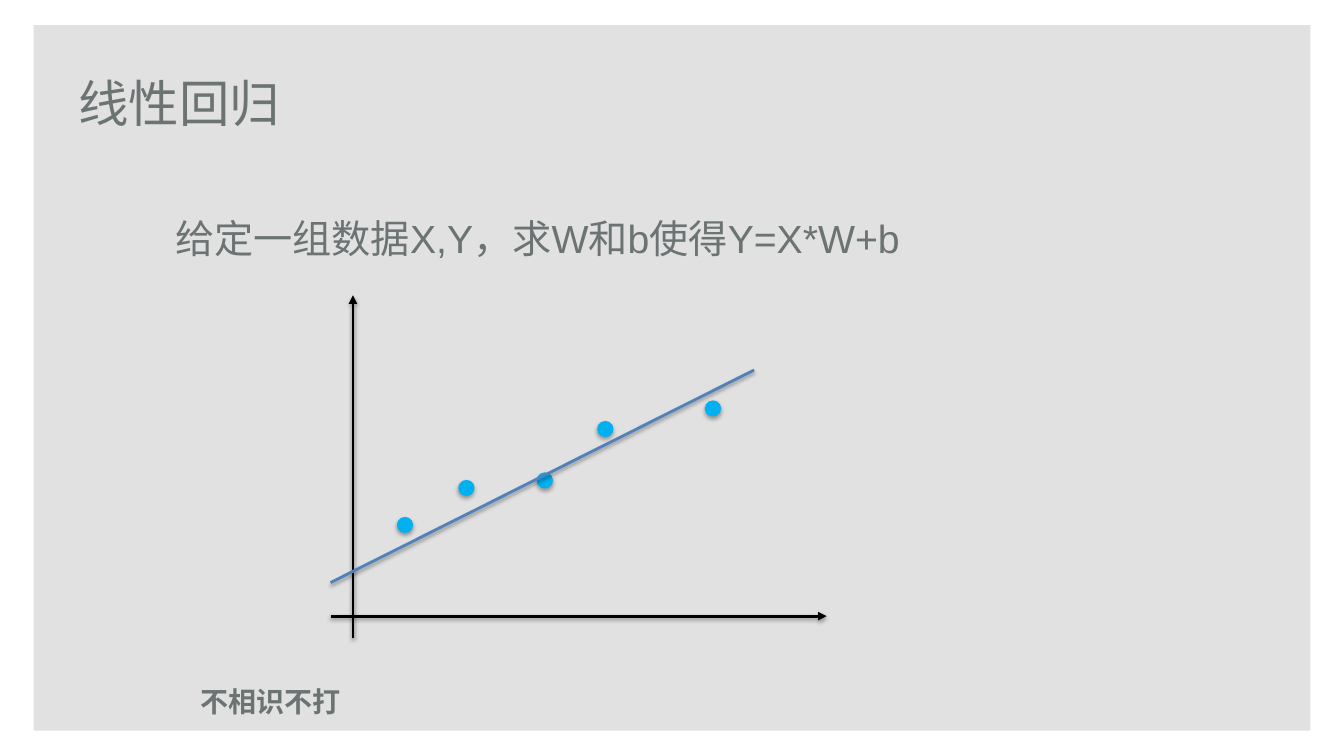
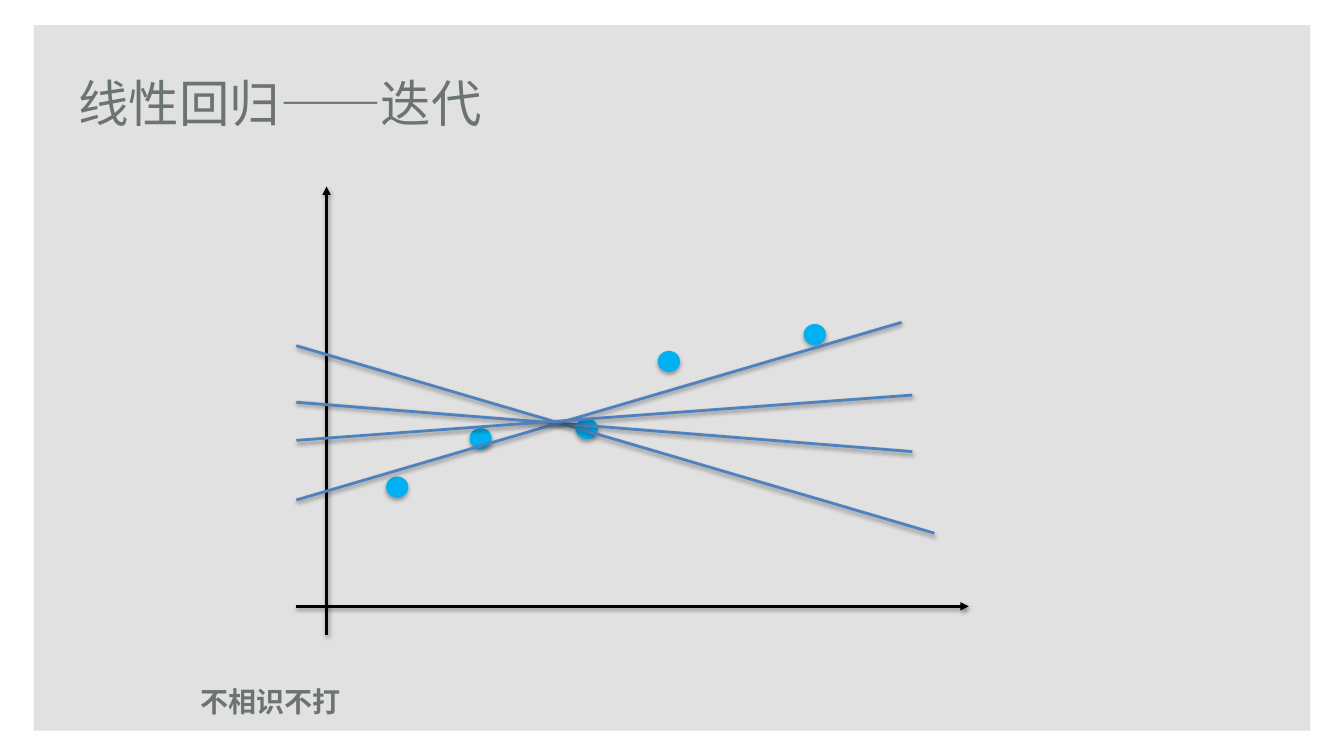
from dataclasses import dataclass

import lxml.etree
import pptx
import pptx.dml.color
import pptx.enum.shapes
import pptx.enum.text
import pptx.oxml.ns
import pptx.util


@dataclass(frozen=True)
class Theme:
    panel: str = "E1E1E1"
    ink: str = "6C7373"
    axis: str = "000000"
    dot: str = "00B0F0"
    fit: str = "4F81BD"
    shadow: str = "000000"
    cjk: str = "Noto Sans CJK SC"
    latin: str = "Arial"
    title_size: int = 36
    body_size: int = 28
    footer_size: int = 20
    line_width: int = 2


THEME = Theme()
WIDTH, HEIGHT = pptx.util.Inches(13.33), pptx.util.Inches(7.5)

# Frames are left, top, width, height in percent of the slide
PANEL = (2.5, 3.33, 95, 93.33)
TITLE = (5.1, 6.4, 79.1, 14.27)
STATEMENT = (12.3, 27.73, 68.9, 12.27)
FOOTER = (14.18, 88.27, 15.2, 8.93)
SMALL_PLOT = (24.6, 39.07, 36.9, 45.33)
LARGE_PLOT = (22.05, 24.67, 50.03, 59.33)

# Plot contents are in percent of the plot frame, y measured upwards
X_AXIS_HEIGHT, Y_AXIS_OFFSET = 6.4, 4.5
DOT_SIZE = (3.3, 4.7)
SAMPLES = [(15, 33), (27.4, 43.8), (43.2, 46), (55.4, 61), (77.1, 67)]

# Each fitted line: height at the left edge, then the end point
BEST_FIT = [(16.2, 85.4, 78.2)]
ITERATIONS = [(64.5, 94.9, 22.7), (51.9, 91.6, 40.9),
              (30.1, 90, 69.7), (43.4, 91.6, 53.5)]


def rgb(value):
    return pptx.dml.color.RGBColor.from_string(value)


def on_slide(frame):
    left, top, width, height = frame
    return [int(share * side / 100) for share, side in
            ((left, WIDTH), (top, HEIGHT), (width, WIDTH), (height, HEIGHT))]


def in_plot(frame, x, y):
    left, top, width, height = on_slide(frame)
    return int(left + width * x / 100), int(top + height * (1 - y / 100))


def sub(parent, tag, **attributes):
    return lxml.etree.SubElement(parent, pptx.oxml.ns.qn(tag), attributes)


def add_shadow(item, distance, opacity):
    properties = item._element.spPr
    effects = properties.find(pptx.oxml.ns.qn("a:effectLst"))
    if effects is None:
        effects = sub(properties, "a:effectLst")
    shadow = sub(effects, "a:outerShdw",
                 blurRad=str(pptx.util.Pt(3.1)), dist=str(pptx.util.Pt(distance)),
                 dir="5400000", rotWithShape="0")
    color = sub(shadow, "a:srgbClr", val=THEME.shadow)
    sub(color, "a:alpha", val=str(opacity * 1000))


def add_filled(slide, kind, position, color):
    shape = slide.shapes.add_shape(kind, *position)
    shape.shadow.inherit = False
    shape.fill.solid()
    shape.fill.fore_color.rgb = rgb(color)
    shape.line.fill.background()
    return shape


def add_text(slide, frame, text, size, font, bold=False, middle=True):
    text_frame = slide.shapes.add_textbox(*on_slide(frame)).text_frame
    text_frame.word_wrap = True
    anchor = pptx.enum.text.MSO_ANCHOR
    text_frame.vertical_anchor = anchor.MIDDLE if middle else anchor.TOP
    paragraph = text_frame.paragraphs[0]
    paragraph.text = text
    paragraph.font.size = pptx.util.Pt(size)
    paragraph.font.bold = bold
    paragraph.font.color.rgb = rgb(THEME.ink)
    paragraph.font.name = font
    # East Asian typeface, which follows the Latin one
    defaults = paragraph._p.pPr.find(pptx.oxml.ns.qn("a:defRPr"))
    sub(defaults, "a:ea", typeface=THEME.cjk)


def add_line(slide, plot, start, end, color, arrow=False):
    line = slide.shapes.add_connector(
        pptx.enum.shapes.MSO_CONNECTOR.STRAIGHT,
        *in_plot(plot, *start), *in_plot(plot, *end))
    line.line.color.rgb = rgb(color)
    line.line.width = pptx.util.Pt(THEME.line_width)
    if arrow:
        sub(line.line._get_or_add_ln(), "a:tailEnd", type="triangle")
    add_shadow(line, 1.6, 38)


def add_dot(slide, plot, x, y):
    width, height = DOT_SIZE
    left, top = in_plot(plot, x - width / 2, y + height / 2)
    right, bottom = in_plot(plot, x + width / 2, y - height / 2)
    dot = add_filled(slide, pptx.enum.shapes.MSO_SHAPE.OVAL,
                     (left, top, right - left, bottom - top), THEME.dot)
    add_shadow(dot, 1.8, 35)


def add_plot(slide, plot, fits):
    # Axes
    add_line(slide, plot, (0, X_AXIS_HEIGHT), (100, X_AXIS_HEIGHT), THEME.axis, arrow=True)
    add_line(slide, plot, (Y_AXIS_OFFSET, 0), (Y_AXIS_OFFSET, 100), THEME.axis, arrow=True)
    # Samples and fitted lines
    for x, y in SAMPLES:
        add_dot(slide, plot, x, y)
    for start_height, end_x, end_y in fits:
        add_line(slide, plot, (0, start_height), (end_x, end_y), THEME.fit)


def add_base(deck, title):
    slide = deck.slides.add_slide(deck.slide_layouts[6])
    add_filled(slide, pptx.enum.shapes.MSO_SHAPE.RECTANGLE, on_slide(PANEL), THEME.panel)
    add_text(slide, FOOTER, "不相识不打", THEME.footer_size, THEME.cjk, bold=True)
    add_text(slide, TITLE, title, THEME.title_size, THEME.cjk)
    return slide


def main():
    deck = pptx.Presentation()
    deck.slide_width, deck.slide_height = WIDTH, HEIGHT

    # The problem and its best fit
    problem = add_base(deck, "线性回归")
    add_text(problem, STATEMENT, "给定一组数据X,Y，求W和b使得Y=X*W+b",
             THEME.body_size, THEME.latin, middle=False)
    add_plot(problem, SMALL_PLOT, BEST_FIT)

    # Successive fits
    iteration = add_base(deck, "线性回归——迭代")
    add_plot(iteration, LARGE_PLOT, ITERATIONS)

    deck.save("out.pptx")


if __name__ == "__main__":
    main()
